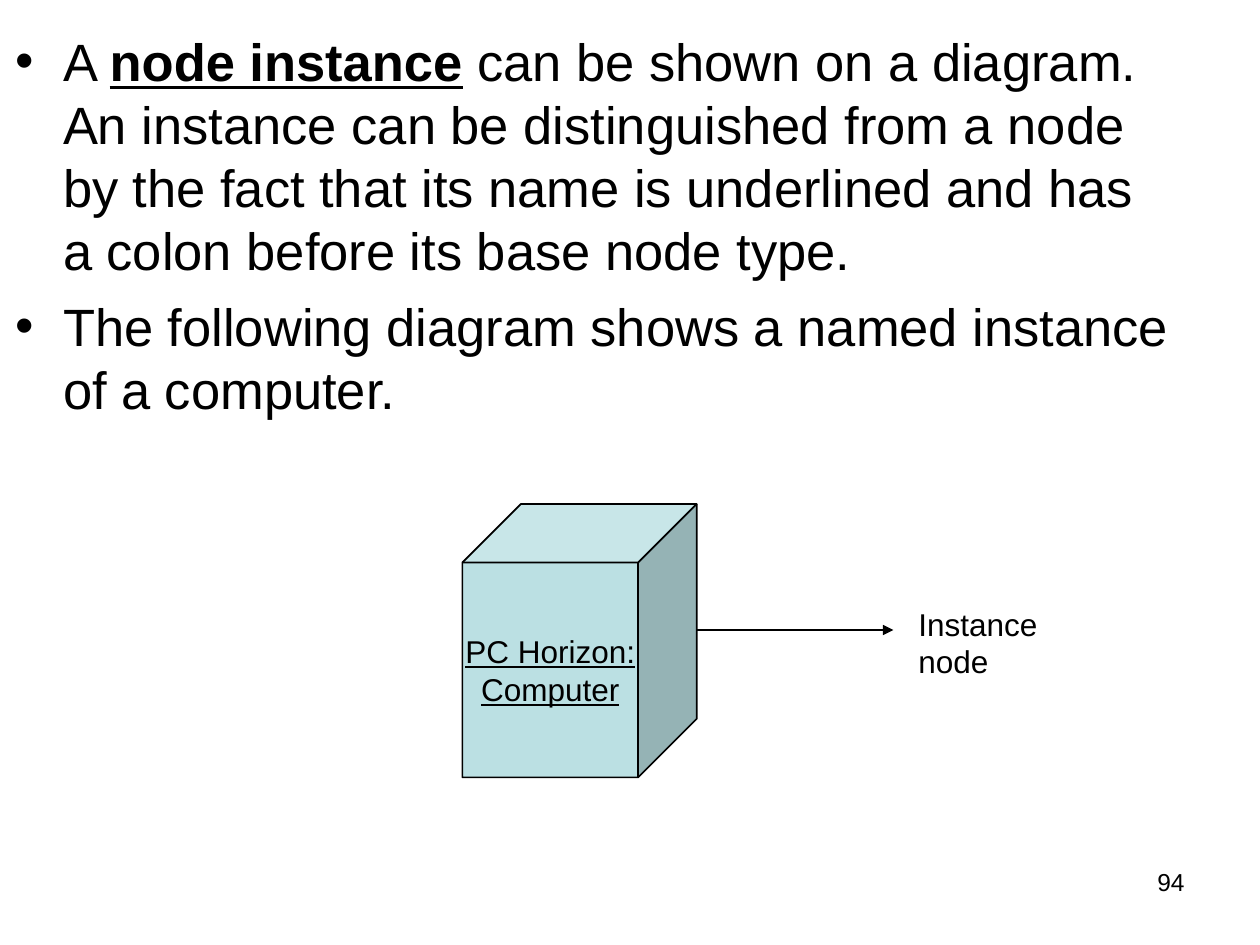
from dataclasses import dataclass

from lxml import etree
from pptx import Presentation
from pptx.dml.color import RGBColor
from pptx.enum.shapes import MSO_CONNECTOR, MSO_SHAPE
from pptx.enum.text import MSO_ANCHOR, PP_ALIGN
from pptx.oxml.ns import qn
from pptx.util import Inches, Pt

CUBE = MSO_SHAPE.CUBE
STRAIGHT = MSO_CONNECTOR.STRAIGHT
LEFT, CENTER, RIGHT = PP_ALIGN.LEFT, PP_ALIGN.CENTER, PP_ALIGN.RIGHT
TOP, MIDDLE = MSO_ANCHOR.TOP, MSO_ANCHOR.MIDDLE

FONT = "Arial"
COLORS = {"ink": "000000", "cube": "BBE0E3"}
COLS, ROWS = 10, 7.5
CELL = Inches(1)
BULLET_INDENT = 0.38


@dataclass(frozen=True)
class Run:
    text: str
    bold: bool = False
    underline: bool = False


@dataclass(frozen=True)
class Box:
    """Place on the slide in grid columns and rows."""
    col: float
    row: float
    cols: float
    rows: float

    def emu(self) -> list[int]:
        return [grid(v) for v in (self.col, self.row, self.cols, self.rows)]


@dataclass(frozen=True)
class Style:
    size: float
    align: PP_ALIGN = LEFT
    anchor: MSO_ANCHOR = TOP
    inset: tuple[float, float] = (0.1, 0.05)
    wrap: bool = True
    bullet: bool = False
    gap: float = 0


BODY = [
    [Run("A "), Run("node instance", bold=True, underline=True),
     Run(" can be shown on a diagram. An instance can be distinguished from "
         "a node by the fact that its name is underlined and has a colon "
         "before its base node type.")],
    [Run("The following diagram shows a named instance of a computer.")],
]
NODE_NAME = [[Run("PC Horizon:", underline=True)],
             [Run("Computer", underline=True)]]

BODY_STYLE = Style(30, inset=(0.12, 0.06), bullet=True, gap=7.5)
NODE_STYLE = Style(18, align=CENTER, anchor=MIDDLE, wrap=False)
LABEL_STYLE = Style(18)
NUMBER_STYLE = Style(14, align=RIGHT)


def grid(cells: float) -> int:
    return int(CELL * cells)


def rgb(name: str) -> RGBColor:
    return RGBColor.from_string(COLORS[name])


def add_bullet(p) -> None:
    pPr = p._p.get_or_add_pPr()
    pPr.set("marL", str(grid(BULLET_INDENT)))
    pPr.set("indent", str(-grid(BULLET_INDENT)))
    etree.SubElement(pPr, qn("a:buFont"), typeface=FONT)
    etree.SubElement(pPr, qn("a:buChar"), char="•")


def write(sp, paragraphs: list[list[Run]], style: Style) -> None:
    tf = sp.text_frame
    tf.word_wrap = style.wrap
    tf.vertical_anchor = style.anchor
    tf.margin_left = tf.margin_right = Inches(style.inset[0])
    tf.margin_top = tf.margin_bottom = Inches(style.inset[1])
    for i, runs in enumerate(paragraphs):
        p = tf.add_paragraph() if i else tf.paragraphs[0]
        p.alignment = style.align
        if i and style.gap:
            p.space_before = Pt(style.gap)
        if style.bullet:
            add_bullet(p)
        for run in runs:
            r = p.add_run()
            r.text = run.text
            r.font.name = FONT
            r.font.size = Pt(style.size)
            r.font.bold = run.bold
            r.font.underline = run.underline
            r.font.color.rgb = rgb("ink")


def add_text(s, box: Box, paragraphs: list[list[Run]], style: Style) -> None:
    write(s.shapes.add_textbox(*box.emu()), paragraphs, style)


def add_node(s, box: Box, paragraphs: list[list[Run]]) -> None:
    sp = s.shapes.add_shape(CUBE, *box.emu())
    sp.adjustments[0] = 0.25
    sp.shadow.inherit = False
    sp.fill.solid()
    sp.fill.fore_color.rgb = rgb("cube")
    sp.line.color.rgb = rgb("ink")
    sp.line.width = Pt(1)
    write(sp, paragraphs, NODE_STYLE)


def add_arrow(s, start: float, end: float, row: float) -> None:
    line = s.shapes.add_connector(STRAIGHT, grid(start), grid(row),
                                  grid(end), grid(row))
    line.line.color.rgb = rgb("ink")
    line.line.width = Pt(1)
    etree.SubElement(line.line._get_or_add_ln(), qn("a:tailEnd"),
                     type="triangle")
    etree.SubElement(line._element.spPr, qn("a:effectLst"))


def main() -> None:
    prs = Presentation()
    prs.slide_width, prs.slide_height = grid(COLS), grid(ROWS)
    s = prs.slides.add_slide(prs.slide_layouts[6])

    node = Box(3.67, 4, 1.86, 2.17)
    add_text(s, Box(0, 0.17, 9.42, 1.83), BODY, BODY_STYLE)
    add_node(s, node, NODE_NAME)
    add_arrow(s, node.col + node.cols, 7.09, 5)
    add_text(s, Box(7.19, 4.75, 1.56, 0.7), [[Run("Instance node")]],
             LABEL_STYLE)
    add_text(s, Box(7.17, 6.83, 2.33, 0.52), [[Run("94")]], NUMBER_STYLE)
    prs.save("out.pptx")


if __name__ == "__main__":
    main()
